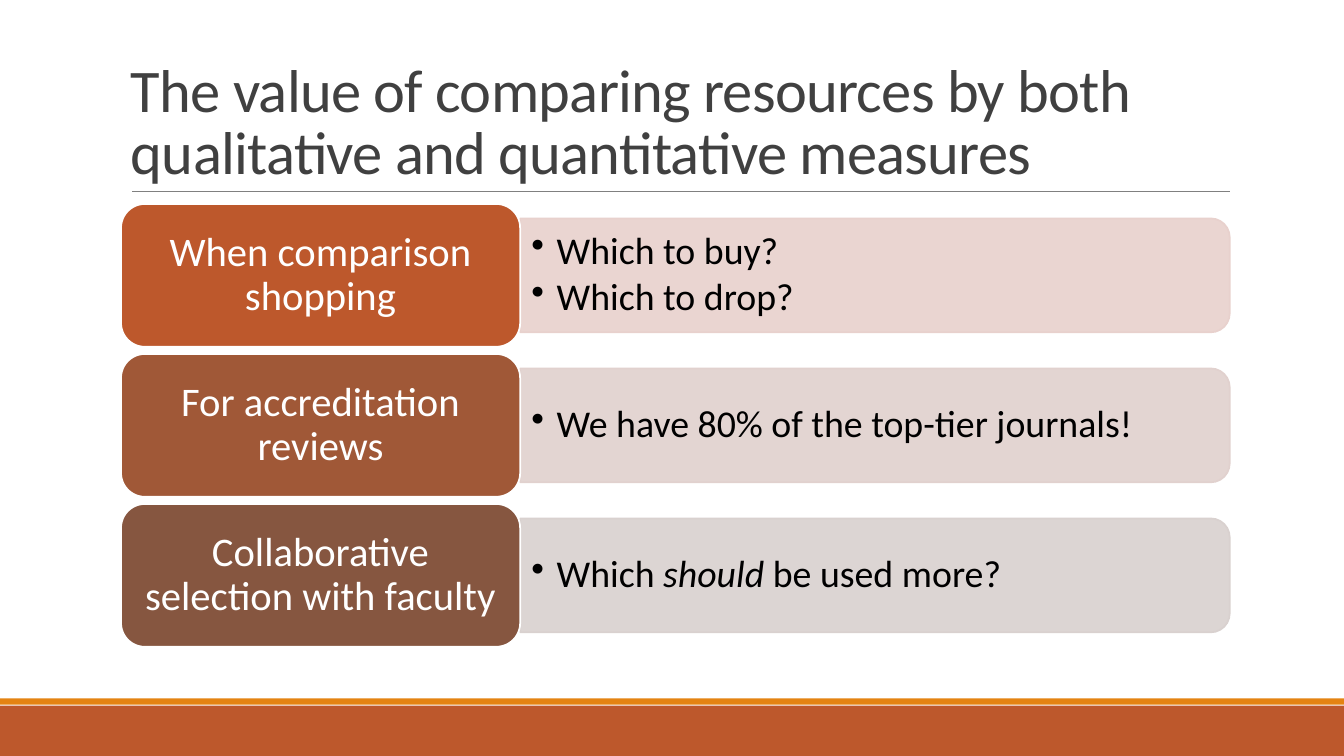
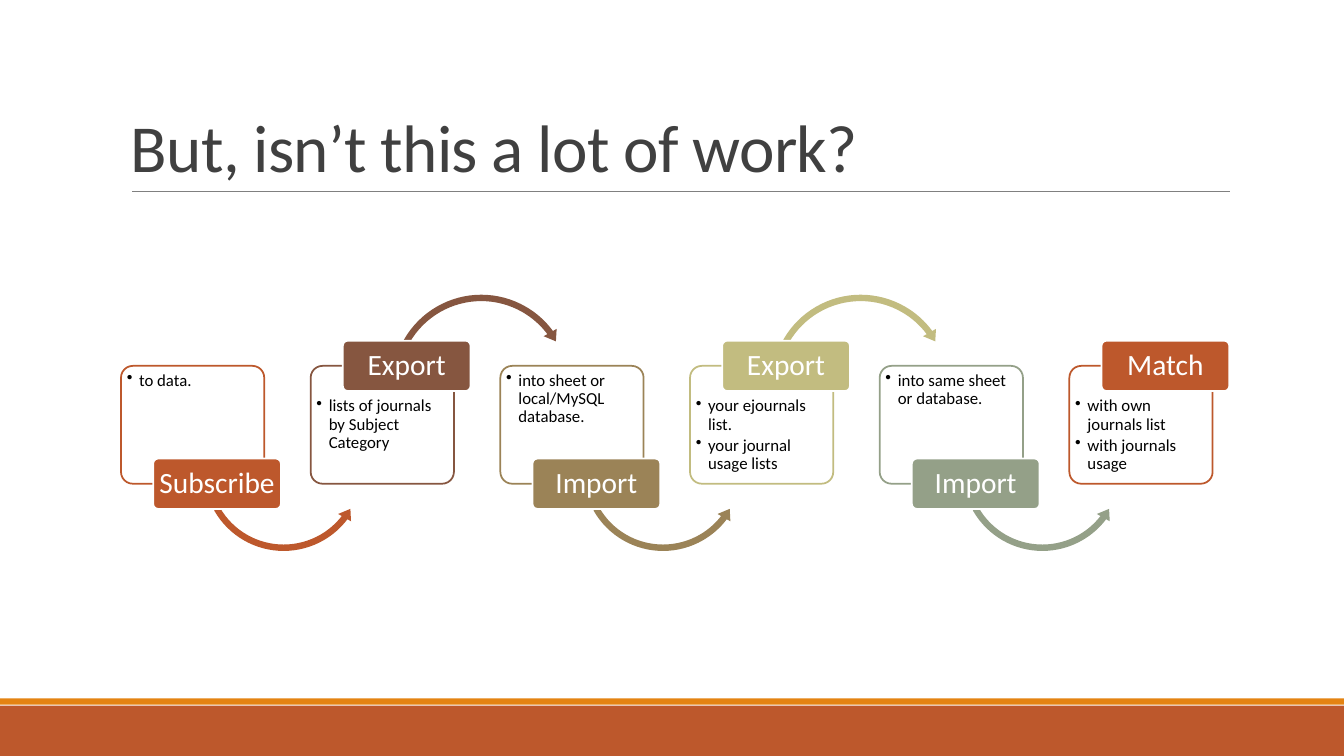
from dataclasses import dataclass

from lxml import etree
from pptx import Presentation
from pptx import util as u
from pptx.dml.color import RGBColor
from pptx.enum import shapes as kinds
from pptx.enum import text as t
from pptx.oxml.ns import qn

Cm, Pt = u.Cm, u.Pt
Shape = kinds.MSO_SHAPE

# Shared look
FONT = "Calibri"
WHITE = RGBColor(0xFF, 0xFF, 0xFF)
BLACK = RGBColor(0x00, 0x00, 0x00)
TITLE_GREY = RGBColor(0x40, 0x40, 0x40)
RULE_GREY = RGBColor(0x80, 0x80, 0x80)
RUST = RGBColor(0xBD, 0x58, 0x2C)
ORANGE = RGBColor(0xE4, 0x83, 0x12)
SIENNA = RGBColor(0xA0, 0x58, 0x37)
BROWN = RGBColor(0x86, 0x56, 0x40)
OCHRE = RGBColor(0x9B, 0x83, 0x57)
KHAKI = RGBColor(0xC2, 0xBC, 0x80)
SAGE = RGBColor(0x94, 0xA0, 0x88)
PALE_RUST = RGBColor(0xE8, 0xD1, 0xCD)
PALE_SIENNA = RGBColor(0xE1, 0xD1, 0xCE)
PALE_BROWN = RGBColor(0xD9, 0xD1, 0xCF)

SLIDE_WIDTH, SLIDE_HEIGHT = 33.87, 19.05
DIAGRAM_LEFT = 3.05


@dataclass(frozen=True)
class Use:
    """A use of the comparison, with its questions."""
    label: str
    points: list[str]
    color: RGBColor
    tint: RGBColor


@dataclass(frozen=True)
class Step:
    """A step of the workflow."""
    action: str
    details: list[str]
    color: RGBColor


@dataclass(frozen=True)
class Arrow:
    """A curved arrow, placed from the left of its step."""
    kind: Shape
    offset: float
    top: float
    size: float
    adjustments: tuple[float, ...]


USES = [
    Use("When comparison shopping", ["Which to buy?", "Which to drop?"], RUST, PALE_RUST),
    Use("For accreditation reviews", ["We have 80% of the top-tier journals!"],
        SIENNA, PALE_SIENNA),
    Use("Collaborative selection with faculty", ["Which _should _be used more?"],
        BROWN, PALE_BROWN),
]
STEPS = [
    Step("Subscribe", ["to data."], RUST),
    Step("Export", ["lists of journals by Subject Category"], BROWN),
    Step("Import", ["into sheet or local/MySQL database."], OCHRE),
    Step("Export", ["your ejournals list.", "your journal usage lists"], KHAKI),
    Step("Import", ["into same sheet or database."], SAGE),
    Step("Match", ["with own journals list", "with journals usage"], RUST),
]
LOWER_ARROW = Arrow(Shape.LEFT_CIRCULAR_ARROW, 1.98, 9.75, 4.24,
                    (0.038, 4.697, 22.452, 90.245, 0.044))
UPPER_ARROW = Arrow(Shape.CIRCULAR_ARROW, 1.95, 7.32, 4.7,
                    (0.034, 4.199, 194.046, 125.755, 0.04))


def write(frame, paragraphs: list[str], *, size: float, color: RGBColor,
          align=t.PP_ALIGN.LEFT, anchor=t.MSO_ANCHOR.MIDDLE, spacing: float = 0.9,
          after: float = 0, bullet: float = 0, tracking: int = 0,
          margins: tuple[float, float, float, float] = (0.25, 0.13, 0.25, 0.13)) -> None:
    """Fill a frame; text between underscores is italic, bullet is the indent in cm."""
    frame.word_wrap = True
    frame.auto_size = t.MSO_AUTO_SIZE.NONE
    frame.vertical_anchor = anchor
    (frame.margin_left, frame.margin_top,
     frame.margin_right, frame.margin_bottom) = map(Cm, margins)
    for index, content in enumerate(paragraphs):
        paragraph = frame.add_paragraph() if index else frame.paragraphs[0]
        paragraph.alignment = align
        paragraph.line_spacing = spacing
        paragraph.space_after = Pt(after)
        if bullet:
            properties = paragraph._p.get_or_add_pPr()
            properties.set("marL", str(Cm(bullet)))
            properties.set("indent", str(-Cm(bullet)))
            etree.SubElement(properties, qn("a:buChar"), char="•")
        for part, piece in enumerate(content.split("_")):
            run = paragraph.add_run()
            run.text = piece
            run.font.name, run.font.size = FONT, Pt(size)
            run.font.color.rgb = color
            if part % 2:
                run.font.italic = True
            if tracking:
                run._r.get_or_add_rPr().set("spc", str(tracking))


def add_box(slide, kind: Shape, left: float, top: float, width: float, height: float, *,
            fill: RGBColor, line: RGBColor | None = None, opacity: int = 100,
            adjustments: tuple[float, ...] = ()):
    """Draw a preset shape; lengths in cm."""
    box = slide.shapes.add_shape(kind, Cm(left), Cm(top), Cm(width), Cm(height))
    box.shadow.inherit = False
    box.fill.solid()
    box.fill.fore_color.rgb = fill
    if opacity < 100:
        color = box.element.spPr.find(qn("a:solidFill"))[0]
        etree.SubElement(color, qn("a:alpha"), val=str(opacity * 1000))
    if line is None:
        box.line.fill.background()
    else:
        box.line.color.rgb = line
        box.line.width = Pt(1.25)
    for index, value in enumerate(adjustments):
        box.adjustments[index] = value
    return box


def decorate_layout(layout, slide) -> None:
    """Draw the bands and the title rule, and hand them to the layout."""
    rust_band = add_box(slide, Shape.RECTANGLE, 0, 17.78, SLIDE_WIDTH, 1.27, fill=RUST)
    orange_band = add_box(slide, Shape.RECTANGLE, 0, 17.6, SLIDE_WIDTH, 0.16, fill=ORANGE)
    rule = slide.shapes.add_connector(kinds.MSO_CONNECTOR.STRAIGHT,
                                      Cm(3.33), Cm(4.83), Cm(31), Cm(4.83))
    rule.line.color.rgb = RULE_GREY
    rule.line.width = Pt(0.5)
    etree.SubElement(rule.element.spPr, qn("a:effectLst"))
    for position, part in enumerate((rust_band, orange_band, rule), start=2):
        layout.shapes.element.insert(position, part.element)


def set_title(slide, title: str, size: float) -> None:
    heading = slide.shapes.title
    heading.left, heading.top, heading.width, heading.height = map(
        Cm, (DIAGRAM_LEFT, 0.8, 27.94, 4.03))
    write(heading.text_frame, [title], size=size, color=TITLE_GREY,
          anchor=t.MSO_ANCHOR.BOTTOM, spacing=0.85, tracking=-50)


def draw_use(slide, use: Use, top: float) -> None:
    """Draw one row: a tinted panel with its points, and a label."""
    label_width, label_height = 10.06, 3.6
    panel_width, panel_height = 17.88, 2.87
    panel_left = DIAGRAM_LEFT + label_width
    panel_top = top + (label_height - panel_height) / 2

    # The panel stands upright and is turned, so its round corners face right
    shift = (panel_width - panel_height) / 2
    panel = add_box(slide, Shape.ROUND_2_SAME_RECTANGLE, panel_left + shift,
                    panel_top - shift, panel_height, panel_width,
                    fill=use.tint, line=use.tint, opacity=90)
    panel.rotation = 90
    points = slide.shapes.add_textbox(Cm(panel_left), Cm(panel_top),
                                      Cm(panel_width), Cm(panel_height))
    write(points.text_frame, use.points, size=27, color=BLACK, after=4, bullet=0.64,
          margins=(0.28, 0.15, 0.28, 0.15))

    label = add_box(slide, Shape.ROUNDED_RECTANGLE, DIAGRAM_LEFT, top,
                    label_width, label_height, fill=use.color, line=WHITE)
    write(label.text_frame, [use.label], size=29, color=WHITE, align=t.PP_ALIGN.CENTER,
          margins=(0.3, 0.15, 0.3, 0.15))


def draw_step(slide, step: Step, left: float, upper: bool, last: bool) -> None:
    """Draw a step: outlined details, arrow to the next one, label on an edge."""
    top, width, height = 9.22, 3.61, 2.97
    label_width, label_height = 3.22, 1.27
    edge = top if upper else top + height

    details = add_box(slide, Shape.ROUNDED_RECTANGLE, left, top, width, height,
                      fill=WHITE, line=step.color, opacity=90, adjustments=(0.1,))
    write(details.text_frame, step.details, size=12, color=BLACK,
          anchor=t.MSO_ANCHOR.TOP, after=2, bullet=0.31,
          margins=(0.06, 0.71 if upper else 0.06, 0.05, 0.05))

    if not last:
        arrow = UPPER_ARROW if upper else LOWER_ARROW
        add_box(slide, arrow.kind, left + arrow.offset, arrow.top, arrow.size, arrow.size,
                fill=step.color, adjustments=arrow.adjustments)

    label = add_box(slide, Shape.ROUNDED_RECTANGLE, left + 0.81, edge - label_height / 2,
                    label_width, label_height, fill=step.color, line=WHITE,
                    adjustments=(0.1,))
    write(label.text_frame, [step.action], size=21, color=WHITE,
          align=t.PP_ALIGN.CENTER, margins=(0.05, 0.08, 0.05, 0.08))


def main() -> None:
    prs = Presentation()
    prs.slide_width, prs.slide_height = Cm(SLIDE_WIDTH), Cm(SLIDE_HEIGHT)
    title_only = prs.slide_layouts[5]

    # Slide 1: uses of the comparison
    value_slide = prs.slides.add_slide(title_only)
    decorate_layout(title_only, value_slide)
    set_title(value_slide, "The value of comparing resources by both "
              "qualitative and quantitative measures", 43.2)
    for row, use in enumerate(USES):
        draw_use(value_slide, use, 5.14 + row * 3.78)

    # Slide 2: the workflow
    work_slide = prs.slides.add_slide(title_only)
    set_title(work_slide, "But, isn’t this a lot of work?", 48)
    for index, step in enumerate(STEPS):
        draw_step(work_slide, step, DIAGRAM_LEFT + index * 4.78,
                  upper=index % 2 == 1, last=index == len(STEPS) - 1)

    prs.save("out.pptx")


if __name__ == "__main__":
    main()
